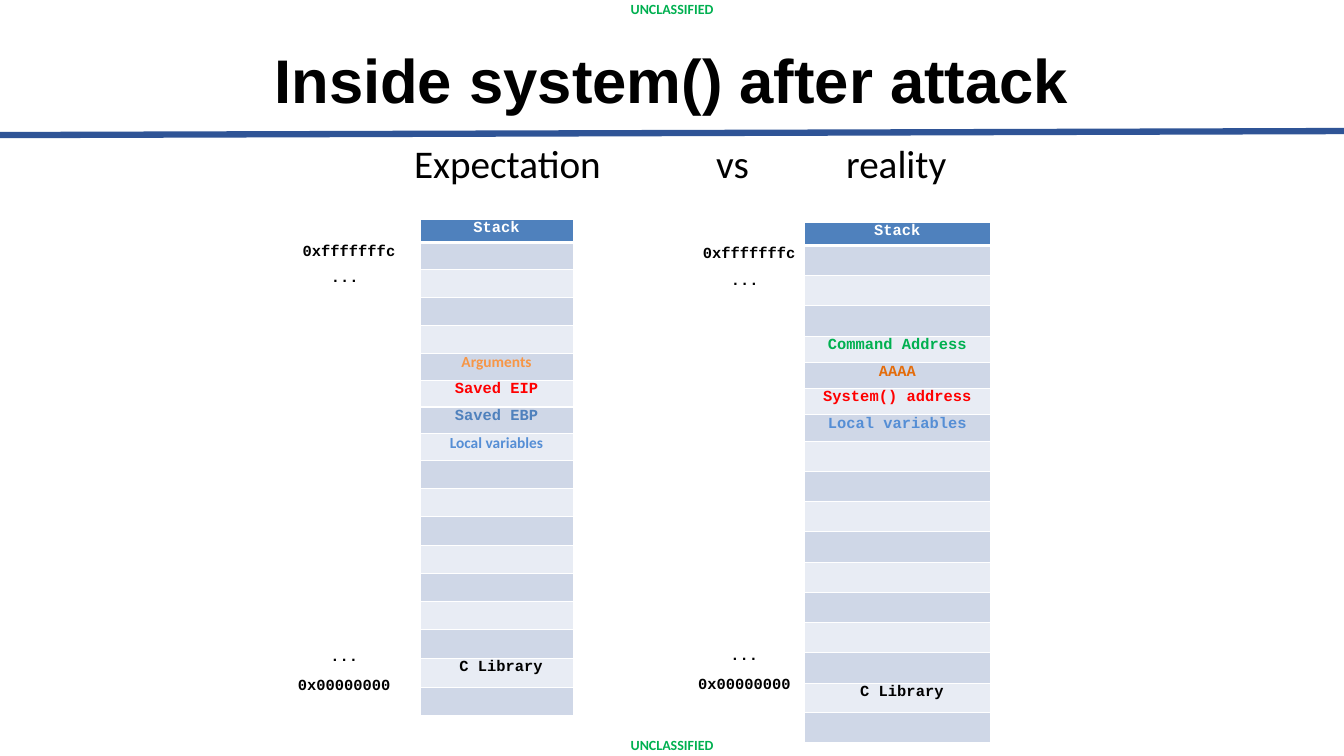
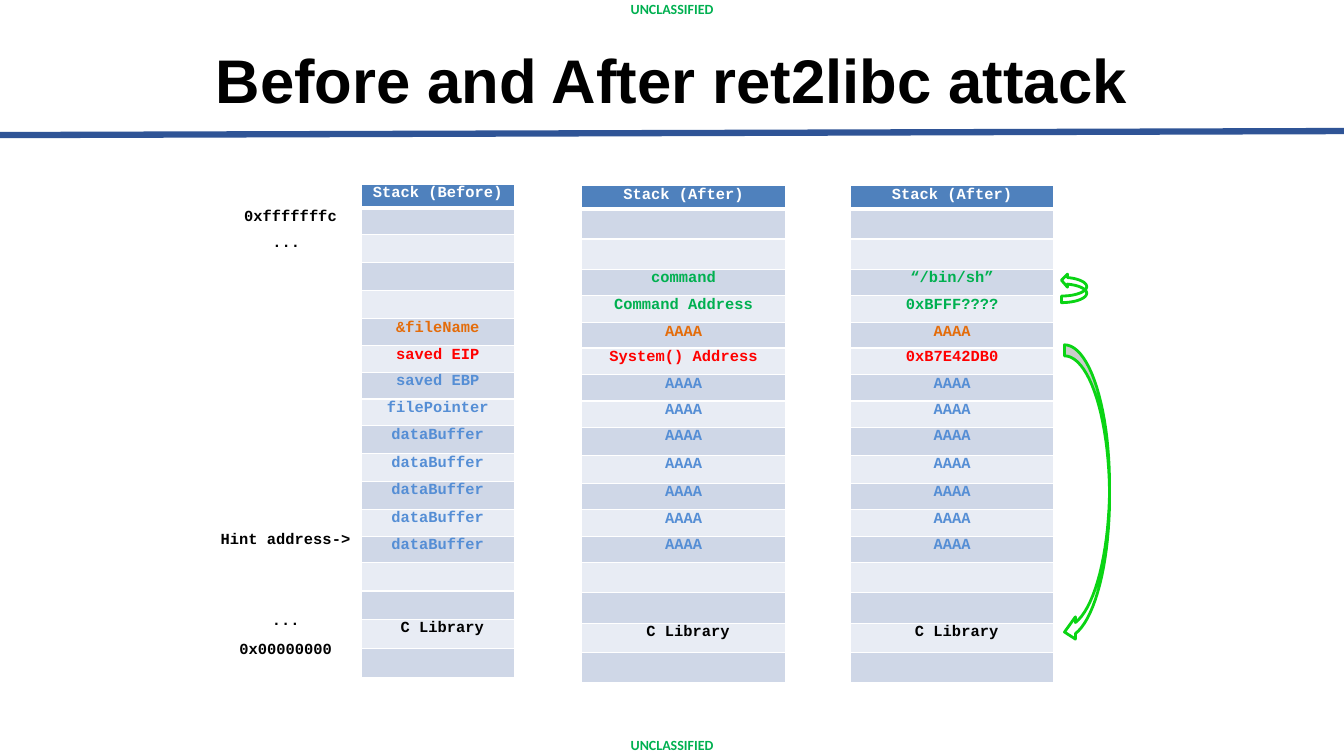
from math import acos, cos, pi, sin

from lxml.etree import SubElement
from pptx import Presentation
from pptx.dml.color import RGBColor
from pptx.enum.shapes import MSO_CONNECTOR
from pptx.enum.text import MSO_ANCHOR as ANCHOR, PP_ALIGN as ALIGN
from pptx.oxml.ns import qn
from pptx.util import Pt

WIDTH, HEIGHT = 960, 540
MONO, SANS, HEADING = "Courier New", "Calibri", "Arial"
BLACK, WHITE, GREEN, RED = "000000", "FFFFFF", "00B050", "FF0000"
ORANGE, PALE_ORANGE, BLUE, STEEL = "E46C0A", "F79646", "558ED5", "4F81BD"
RULE, ARROW = "2F5496", "0AD414"
BANDS = ("CFD7E7", "E8ECF4")
MARKING = "UNCLASSIFIED"

# Row heights, header first
SLIM_TOP = [16.8, 19.4, 19.8, 20, 20, 19.3, 19.1, 19.1, 19.1]
SLIM = SLIM_TOP + [20.2] * 7 + [20.7] * 2
SLIM_FILLED = SLIM_TOP + [19.9] * 3 + [19.4, 18.9] + [20.2] * 2 + [20.7] * 2
WIDE = [16.6] + [19.1] * 4 + [18.2] + [18.9] * 3 + [20] * 2 + [18.9] * 5 + [20.9] * 2
WIDE_EMPTY = 21.6  # least height of an empty row in a wide stack
LIBRARY_ROW = 16

# Entries are (text, colour, font) and fill consecutive rows from "first"
BUFFER = [("AAAA", BLUE, MONO)] * 7
EXPECTED = dict(
    header="Stack", left=300, top=156.4, width=109.4, heights=SLIM, first=5,
    entries=[("Arguments", PALE_ORANGE, SANS), ("Saved EIP", RED, MONO),
             ("Saved EBP", STEEL, MONO), ("Local variables", BLUE, SANS)])
REALITY = dict(
    header="Stack", left=574.3, top=158.7, width=133.4, heights=WIDE, first=4,
    least=WIDE_EMPTY,
    entries=[("Command Address", GREEN, MONO), ("AAAA", ORANGE, MONO),
             ("System() address", RED, MONO), ("Local variables", BLUE, MONO)])
BEFORE = dict(
    header="Stack (Before)", left=257.8, top=131.6, width=109.8,
    heights=SLIM_FILLED, first=5,
    entries=[("&fileName", ORANGE, MONO), ("saved EIP", RED, MONO),
             ("saved EBP", BLUE, MONO), ("filePointer", BLUE, MONO)]
    + [("dataBuffer", BLUE, MONO)] * 5)
AFTER = dict(
    header="Stack (After)", left=415.6, top=132.5, width=145.4, heights=WIDE,
    first=3, least=WIDE_EMPTY,
    entries=[("command", GREEN, MONO), ("Command Address", GREEN, MONO),
             ("AAAA", ORANGE, MONO), ("System() Address", RED, MONO)] + BUFFER)
AFTER_VALUES = dict(
    AFTER, left=607.4,
    entries=[("“/bin/sh”", GREEN, MONO), ("0xBFFF????", GREEN, MONO),
             ("AAAA", ORANGE, MONO), ("0xB7E42DB0", RED, MONO)] + BUFFER)

SLIDES = [
    dict(title="Inside system() after attack", stacks=[EXPECTED, REALITY],
         addresses=[(211.7, 172, 461.5), (497.5, 173.7, 460.8)]),
    dict(title="Before and After ret2libc attack",
         stacks=[BEFORE, AFTER, AFTER_VALUES],
         addresses=[(169.9, 146.9, 435.6)]),
]
# (text, tab stops) with columns over the two stacks
COMPARISON = ("Expectation\tvs\treality", (215.7, 308.6))

COMMAND_ARROW = dict(left=758.2, rx=18, ry=6.7, tail=209.5, shift=-4.7,
                     neck=4.3, barbs=(205.2, 195.8), tip=200.2)
LIBRARY_ARROW = dict(left=760.4, rx=32.2, ry=100.7, tail=347, shift=7.9,
                     neck=7.8, barbs=(440.6, 456.5), tip=451.5)


def rgb(color):
    return RGBColor.from_string(color)


def write(p, text, size=11, color=BLACK, font=MONO, bold=True,
          align=ALIGN.CENTER, spacing=1.0, before=0, indent=0):
    p.alignment, p.line_spacing = align, spacing
    if before:
        p.space_before = Pt(before)
    if indent:
        pPr = p._p.get_or_add_pPr()
        pPr.set("marL", str(Pt(indent)))
        pPr.set("indent", "0")
    r = p.add_run()
    r.text = text
    r.font.size, r.font.name, r.font.bold = Pt(size), font, bold
    r.font.color.rgb = rgb(color)


def add_box(s, left, top, width, height, lines, anchor=ANCHOR.TOP):
    """Add a text box without margins; lines holds (text, format) pairs."""
    tf = s.shapes.add_textbox(Pt(left), Pt(top), Pt(width), Pt(height)).text_frame
    tf.word_wrap, tf.vertical_anchor = True, anchor
    tf.margin_left = tf.margin_right = tf.margin_top = tf.margin_bottom = 0
    for i, (text, style) in enumerate(lines):
        write(tf.add_paragraph() if i else tf.paragraphs[0], text, **style)
    return tf


def add_base(prs, title):
    """Add a slide with its rule, markings and title."""
    s = prs.slides.add_slide(prs.slide_layouts[6])
    line = s.shapes.add_connector(
        MSO_CONNECTOR.STRAIGHT, 0, Pt(96.5), Pt(WIDTH), Pt(93.6))
    line.line.color.rgb, line.line.width = rgb(RULE), Pt(4.5)
    SubElement(line._element.spPr, qn("a:effectLst"))
    marking = dict(size=10, color=GREEN, font=SANS, spacing=0.9)
    for top in (2, HEIGHT - 12):
        add_box(s, 0, top, WIDTH, 10, [(MARKING, marking)], ANCHOR.MIDDLE)
    add_box(s, 66, 24.5, 828, 70,
            [(title, dict(size=44, font=HEADING, spacing=0.9))], ANCHOR.MIDDLE)
    return s


def set_borders(cell, top, bottom):
    tcPr = cell._tc.get_or_add_tcPr()
    for i, (tag, width) in enumerate((("a:lnT", top), ("a:lnB", bottom))):
        ln = SubElement(tcPr, qn(tag), w=str(Pt(width)))
        SubElement(SubElement(ln, qn("a:solidFill")), qn("a:srgbClr"), val=WHITE)
        tcPr.insert(i, ln)


def add_stack(s, header, left, top, width, heights, first, entries, least=0):
    cells = {0: (header, WHITE, MONO), LIBRARY_ROW: ("C Library", BLACK, MONO)}
    cells.update(enumerate(entries, first))
    heights = [h if i in cells else max(h, least) for i, h in enumerate(heights)]
    table = s.shapes.add_table(len(heights), 1, Pt(left), Pt(top), Pt(width),
                               Pt(sum(heights))).table
    table.columns[0].width = Pt(width)
    for i, height in enumerate(heights):
        table.rows[i].height = Pt(height)
        cell = table.cell(i, 0)
        cell.margin_left = cell.margin_right = 0
        cell.margin_top = cell.margin_bottom = 0
        cell.fill.solid()
        cell.fill.fore_color.rgb = rgb(BANDS[(i - 1) % 2] if i else STEEL)
        set_borders(cell, 3 if i == 1 else 1, 1 if i else 3)
        p = cell.text_frame.paragraphs[0]
        if i in cells:
            text, color, font = cells[i]
            write(p, text, color=color, font=font,
                  spacing=0.95 if font == SANS else 1.04,
                  indent=6.5 if i == LIBRARY_ROW else 0)
        else:
            SubElement(p._p, qn("a:endParaRPr"), sz="1100")


def add_addresses(s, left, top, bottom):
    """Label the two ends of a stack with its addresses."""
    add_box(s, left + 3.6, top, 68.4, 32, [
        ("0xfffffffc", dict(align=ALIGN.LEFT, indent=0.9)),
        ("...", dict(align=ALIGN.LEFT, indent=21, before=5.9))])
    add_box(s, left, bottom, 68.4, 34,
            [("...", {}), ("0x00000000", dict(before=7.7))])


def add_comparison(s, text, stops):
    tf = add_box(s, 295.8, 103.6, 420, 46, [])
    p = tf.paragraphs[0]
    tabs = SubElement(p._p.get_or_add_pPr(), qn("a:tabLst"))
    for stop in stops:
        SubElement(tabs, qn("a:tab"), pos=str(Pt(stop)), algn="l")
    write(p, text, size=28, font=SANS, bold=False, align=ALIGN.LEFT, spacing=0.9)


def add_outline(s, points):
    points = [(Pt(x), Pt(y)) for x, y in points]
    builder = s.shapes.build_freeform(*points[0], scale=1.0)
    builder.add_line_segments(points[1:], close=True)
    sp = builder.convert_to_shape()
    sp.shadow.inherit = False
    return sp


def add_curved_arrow(s, left, rx, ry, tail, shift, neck, barbs, tip, shaded=False):
    """Draw an arrow between two elliptic arcs set apart by shift."""
    turn = 1 if shift > 0 else -1

    def arc(center, end, steps=40):
        angles = [-pi / 2 + (end + pi / 2) * i / steps for i in range(steps + 1)]
        return [(left + rx * cos(a), center + turn * ry * sin(a)) for a in angles]

    def ribbon(end, head):
        return arc(tail, end) + head + arc(tail + shift, end)[::-1]

    if shaded:
        shade = add_outline(s, ribbon(0, []))
        shade.fill.solid()
        shade.fill.fore_color.rgb = rgb(BLACK)
        shade.line.fill.background()
        color = shade._element.spPr.find(".//" + qn("a:srgbClr"))
        SubElement(color, qn("a:alpha"), val="20000")
    head = [(left + neck, barbs[0]), (left, tip), (left + neck, barbs[1])]
    sp = add_outline(s, ribbon(acos(neck / rx), head))
    sp.fill.background()
    sp.line.color.rgb, sp.line.width = rgb(ARROW), Pt(2)


def main():
    prs = Presentation()
    prs.slide_width, prs.slide_height = Pt(WIDTH), Pt(HEIGHT)
    slides = []
    for content in SLIDES:
        s = add_base(prs, content["title"])
        for stack in content["stacks"]:
            add_stack(s, **stack)
        for place in content["addresses"]:
            add_addresses(s, *place)
        slides.append(s)
    inside, attack = slides
    add_comparison(inside, *COMPARISON)
    add_box(attack, 157.6, 378, 96, 14, [("Hint address->", dict(align=ALIGN.LEFT))])
    add_curved_arrow(attack, **COMMAND_ARROW)
    add_curved_arrow(attack, **LIBRARY_ARROW, shaded=True)
    prs.save("out.pptx")


if __name__ == "__main__":
    main()
